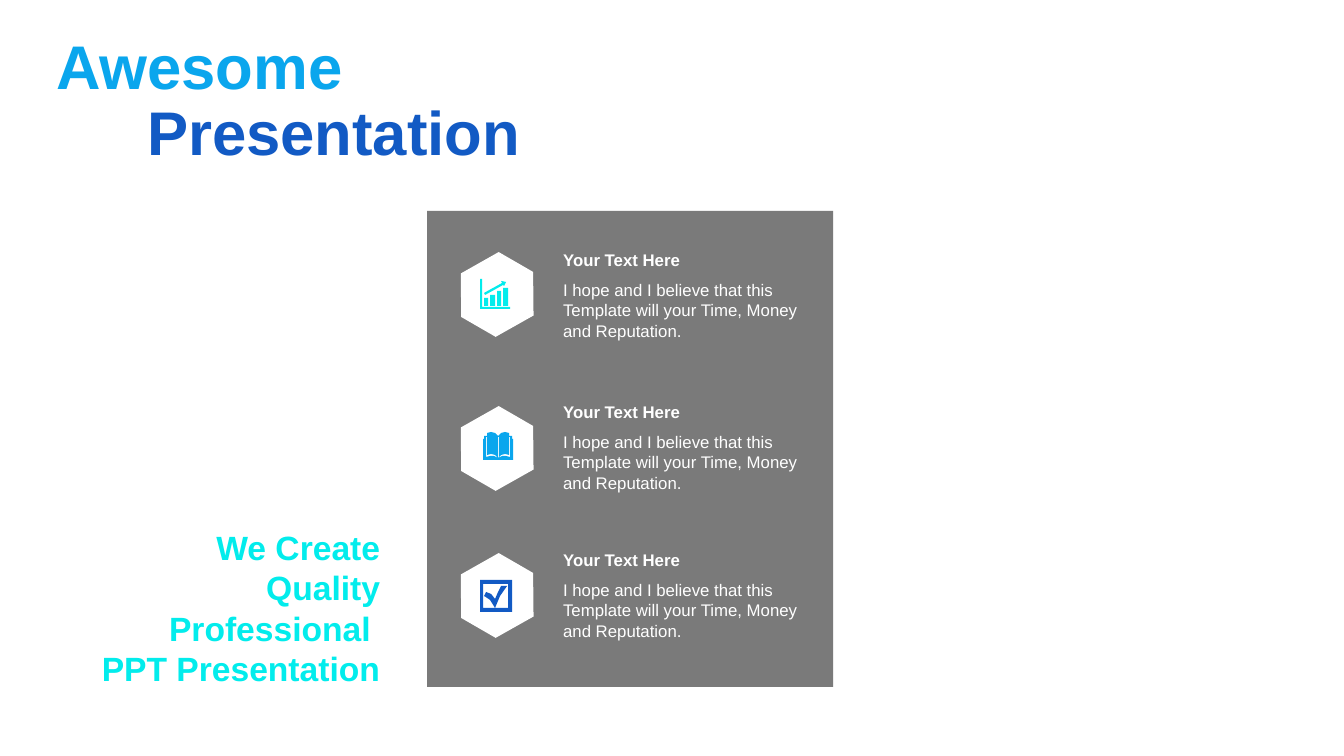
"""Build a slide with a two-part title, a slogan and a panel of three icon points."""
from dataclasses import dataclass

from lxml import etree
from pptx import Presentation, util as u
from pptx.dml.color import RGBColor
from pptx.enum import shapes, text
from pptx.oxml.ns import qn

PX = 914400 / 100.8


@dataclass(frozen=True)
class Theme:
    font: str = "Arial"
    white: str = "FFFFFF"
    grey: str = "595959"
    cyan: str = "02ECEC"
    sky: str = "0AA6ED"
    blue: str = "125AC4"
    title_size: int = 44
    slogan_size: int = 24
    body_size: int = 12


theme = Theme()
deck = Presentation()
deck.slide_width, deck.slide_height = u.Inches(13.33), u.Inches(7.5)
slide = deck.slides.add_slide(deck.slide_layouts[6])


def write(box, *lines, size, color, bold=False, align=text.PP_ALIGN.LEFT,
          anchor=text.MSO_ANCHOR.TOP, spacing=None, inset=(10, 5)):
    frame = slide.shapes.add_textbox(*(u.Emu(round(n * PX)) for n in box)).text_frame
    frame.word_wrap = True
    frame.vertical_anchor = anchor
    frame.margin_left = frame.margin_right = round(inset[0] * PX)
    frame.margin_top = frame.margin_bottom = round(inset[1] * PX)
    for number, line in enumerate(lines):
        paragraph = frame.paragraphs[0] if number == 0 else frame.add_paragraph()
        paragraph.alignment = align
        paragraph.line_spacing = spacing
        run = paragraph.add_run()
        run.text = line
        run.font.name, run.font.size, run.font.bold = theme.font, u.Pt(size), bold
        run.font.color.rgb = RGBColor.from_string(color)


def paint(shape, color):
    shape.shadow.inherit = False
    shape.fill.solid()
    shape.fill.fore_color.rgb = RGBColor.from_string(color)
    shape.line.fill.background()
    return shape


panel = paint(slide.shapes.add_shape(
    shapes.MSO_SHAPE.RECTANGLE, *(round(n * PX) for n in (427, 211, 406, 476))), theme.grey)
panel_color = panel.fill._xPr.find(".//" + qn("a:srgbClr"))
etree.SubElement(panel_color, qn("a:alpha"), val="80000")

bars = [[(left, top), (right, top), (right, 27), (left, 27)]
        for left, right, top in ((4, 8, 19), (10, 15, 16), (17, 21, 12), (23, 28, 9))]
trend = [(21, 2), (26, 3), (24, 7), (23, 6), (5, 16), (4, 14), (22, 4)]
axes = [(0, 0), (2, 0), (2, 28), (30, 28), (30, 30), (0, 30)]

cover = [(0, 28), (0, 7), (1, 7), (1, 4), (4, 4), (4, 1), (8, 0), (12, 1), (15, 4),
         (18, 1), (22, 0), (26, 1), (26, 4), (29, 4), (29, 7), (30, 7), (30, 28)]
left_gap = [(3, 5), (4, 5), (4, 23), (8, 22), (12, 23), (15, 26), (11, 24), (7, 24), (3, 25)]
right_gap = [(30 - x, y) for x, y in left_gap]
spine = [(15, 5), (16, 5), (16, 26), (15, 26)]

frame_outer = [(0, 0), (32, 0), (32, 32), (0, 32)]
frame_inner = [(3, 4), (28, 4), (28, 28), (3, 28)]
tick = [(15, 28), (10, 20), (4, 16), (6, 12), (11, 14), (15, 19), (18, 12), (21, 6),
        (27, 6), (20, 16)]

points = (
    (257, 245, (480, 279), theme.cyan, [*bars, trend, axes]),
    (411, 397, (483, 432), theme.sky, [cover, left_gap, right_gap, spine]),
    (558, 545, (480, 580), theme.blue, [frame_outer, frame_inner, tick]),
)
for badge_top, heading_top, icon_origin, icon_color, outlines in points:
    badge = paint(slide.shapes.add_shape(
        shapes.MSO_SHAPE.HEXAGON, *(round(n * PX) for n in (455, badge_top, 84, 75))), theme.white)
    badge.adjustments[0] = 0.295
    badge.rotation = 30

    icon = slide.shapes.build_freeform(*outlines[0][0], scale=PX)
    icon.add_line_segments(outlines[0][1:], close=True)
    for outline in outlines[1:]:
        icon.move_to(*outline[0])
        icon.add_line_segments(outline[1:], close=True)
    paint(icon.convert_to_shape(*(round(n * PX) for n in icon_origin)), icon_color)

    write((553, heading_top, 265, 30), "Your Text Here",
          size=theme.body_size, color=theme.white, bold=True)
    write((553, heading_top + 30, 265, 72),
          "I hope and I believe that this Template will your Time, Money and Reputation. ",
          size=theme.body_size, color=theme.white)

write((64, 527, 320, 163), "We Create", "Quality Professional ", "PPT Presentation",
      size=theme.slogan_size, color=theme.cyan, bold=True,
      align=text.PP_ALIGN.RIGHT, inset=(4, 0))
write((137, 97, 416, 71), "Presentation", size=theme.title_size, color=theme.blue,
      bold=True, spacing=0.9)
write((44, 22, 311, 85), "Awesome", size=theme.title_size, color=theme.sky, bold=True,
      align=text.PP_ALIGN.CENTER, anchor=text.MSO_ANCHOR.MIDDLE)

deck.save("out.pptx")
